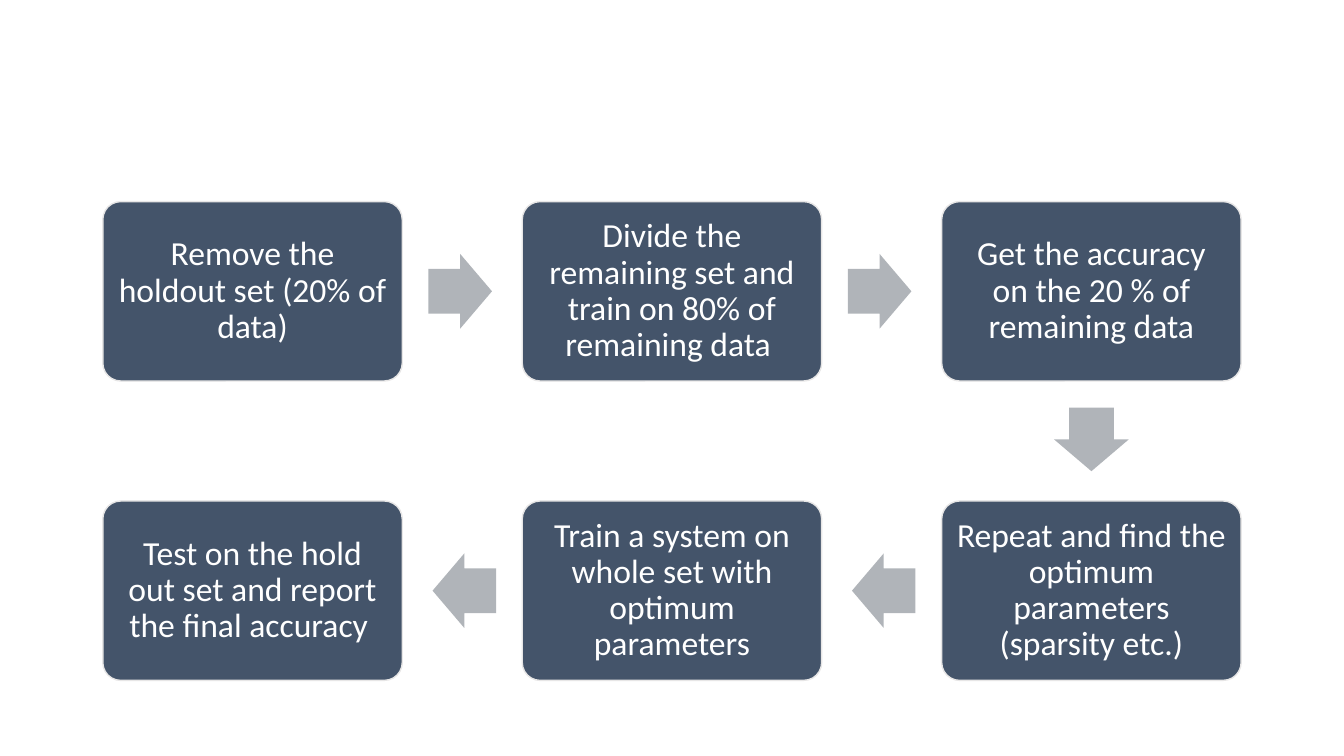
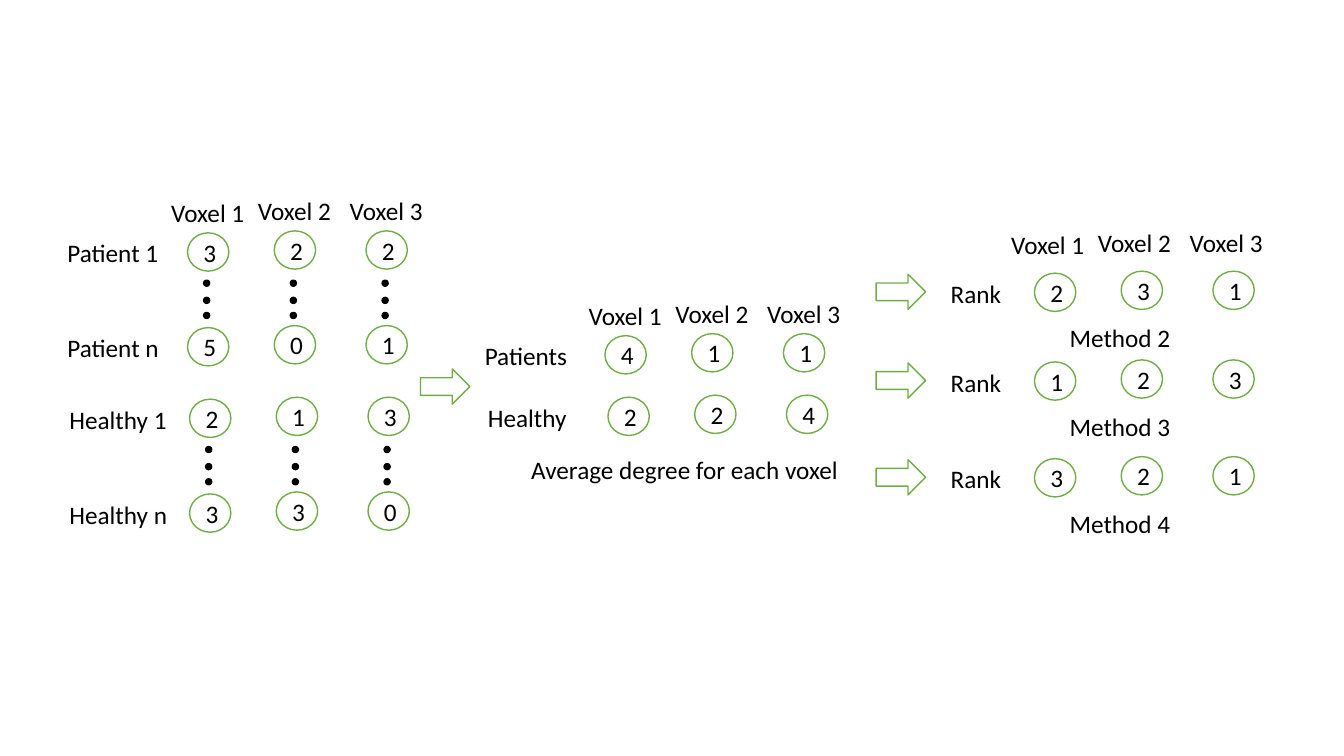
from pptx import Presentation
from pptx.dml.color import RGBColor
from pptx.enum.shapes import MSO_SHAPE
from pptx.enum.text import MSO_ANCHOR, PP_ALIGN
from pptx.util import Inches, Pt

COLORS = {
    "step": "44546A", "step_edge": "E7E6E6", "step_arrow": "B0B4B9",
    "green": "70AD47", "white": "FFFFFF", "black": "000000",
}
FONT = "Calibri"
COLUMN_OFFSETS = (0, 0.86, 1.77)
COLUMN_DROPS = (0.02, 0, 0)
NODE_SIZE = (0.41, 0.38)


def color(name):
    """Return the named palette colour."""
    return RGBColor.from_string(COLORS[name])


def add_figure(slide, kind, box, fill, edge=None):
    """Add a flat preset shape with a fill and an optional outline."""
    figure = slide.shapes.add_shape(kind, *map(Inches, box))
    figure.shadow.inherit = False
    figure.fill.solid()
    figure.fill.fore_color.rgb = color(fill)
    if edge:
        figure.line.color.rgb = color(edge)
        figure.line.width = Pt(1)
    else:
        figure.line.fill.background()
    return figure


def write(figure, words, size, ink, align):
    """Write one formatted paragraph into a shape."""
    frame = figure.text_frame
    frame.text = words
    paragraph = frame.paragraphs[0]
    paragraph.alignment = align
    font = paragraph.runs[0].font
    font.name, font.size = FONT, Pt(size)
    font.color.rgb = color(ink)
    return frame


def add_label(slide, words, left, top, width):
    """Add a one-line black label."""
    label = slide.shapes.add_textbox(*map(Inches, (left, top, width, 0.4)))
    write(label, words, 18, "black", PP_ALIGN.LEFT).word_wrap = False


def add_step(slide, words, box):
    """Add a rounded box describing one step of the procedure."""
    step = add_figure(slide, MSO_SHAPE.ROUNDED_RECTANGLE, box, "step", "step_edge")
    step.adjustments[0] = 0.1
    frame = write(step, words, 24, "white", PP_ALIGN.CENTER)
    frame.paragraphs[0].line_spacing = 0.9
    frame.word_wrap = True
    frame.vertical_anchor = MSO_ANCHOR.MIDDLE
    frame.margin_left = frame.margin_right = Inches(0.1)
    frame.margin_top = frame.margin_bottom = Inches(0.1)


def add_step_arrow(slide, center_x, center_y, rotation):
    """Add a grey arrow centred on a point and turned to the next step."""
    width, height = 0.63, 0.74
    box = (center_x - width / 2, center_y - height / 2, width, height)
    arrow = add_figure(slide, MSO_SHAPE.RIGHT_ARROW, box, "step_arrow")
    arrow.adjustments[0] = 0.6
    arrow.adjustments[1] = 0.5
    arrow.rotation = rotation


def add_procedure(slide, left, top):
    """Lay out the steps in a snake of two rows of three."""
    width, height, pitch_x, pitch_y = 2.97, 1.78, 4.16, 2.97
    steps = (
        ("Remove the holdout set (20% of data)", 0, 0, 0),
        ("Divide the remaining set and train on 80% of remaining data ", 1, 0, 0),
        ("Get the accuracy on the 20 % of remaining data", 2, 0, 90),
        ("Repeat and find the optimum parameters (sparsity etc.)", 2, 1, 180),
        ("Train a system on whole set with optimum parameters", 1, 1, 180),
        ("Test on the hold out set and report the final accuracy ", 0, 1, None),
    )
    reach = {0: (2.06, 0), 90: (0, 1.47), 180: (-2.06, 0)}
    for words, column, row, rotation in steps:
        x, y = left + column * pitch_x, top + row * pitch_y
        add_step(slide, words, (x, y, width, height))
        if rotation is not None:
            shift_x, shift_y = reach[rotation]
            add_step_arrow(slide, x + width / 2 + shift_x,
                           y + height / 2 + shift_y, rotation)


def add_voxel_headers(slide, left, top):
    """Add the three voxel column headings."""
    for number, (offset, drop) in enumerate(zip(COLUMN_OFFSETS, COLUMN_DROPS), 1):
        add_label(slide, f"Voxel {number}", left + offset, top + drop, 0.94)


def add_voxel_row(slide, name, values, left, top, name_gap, name_width):
    """Add a row name and its three circled values."""
    add_label(slide, name, left - name_gap, top + 0.02, name_width)
    for value, offset, drop in zip(values, COLUMN_OFFSETS, COLUMN_DROPS):
        box = (left + offset, top + drop, *NODE_SIZE)
        node = add_figure(slide, MSO_SHAPE.OVAL, box, "white", "green")
        frame = write(node, str(value), 18, "black", PP_ALIGN.CENTER)
        frame.vertical_anchor = MSO_ANCHOR.MIDDLE


def add_ellipsis(slide, left, top):
    """Add three vertical dots under each voxel column."""
    for offset in COLUMN_OFFSETS:
        for drop in (0, 0.17, 0.32):
            box = (left + offset, top + drop, 0.06, 0.06)
            add_figure(slide, MSO_SHAPE.OVAL, box, "black", "black")


def add_flow_arrow(slide, left, top):
    """Add an outlined arrow between two regions."""
    add_figure(slide, MSO_SHAPE.RIGHT_ARROW, (left, top, 0.49, 0.35), "white", "green")


def add_subjects(slide, left, top):
    """Lay out the degrees of the first and last subject of each group."""
    add_voxel_headers(slide, left - 0.26, top - 0.4)
    groups = (
        ("Patient", (3, 2, 2), (5, 0, 1), 0, 0, 1.12),
        ("Healthy", (2, 1, 3), (3, 3, 0), 0.02, 1.65, 1.18),
    )
    for group, first, last, shift, drop, name_width in groups:
        x, y = left + shift, top + drop
        add_voxel_row(slide, f"{group} 1", first, x, y, 1.29, name_width)
        add_ellipsis(slide, x + 0.16, y + 0.49)
        add_voxel_row(slide, f"{group} n", last, x, y + 0.94, 1.29, name_width)


def add_averages(slide, left, top):
    """Lay out the average degree of each group."""
    add_voxel_headers(slide, left - 0.26, top - 0.4)
    add_voxel_row(slide, "Patients", (4, 1, 1), left, top, 1.29, 1.03)
    add_voxel_row(slide, "Healthy", (2, 2, 4), left + 0.03, top + 0.61, 1.29, 0.99)
    add_label(slide, "Average degree for each voxel", left - 0.83, top + 1.15, 3.28)


def add_rankings(slide, left, top):
    """Lay out the voxel ranks that each method gives."""
    add_voxel_headers(slide, left - 0.33, top - 0.48)
    rankings = ((2, (2, 3, 1), 0), (3, (1, 2, 3), 0.88), (4, (3, 2, 1), 1.84))
    for method, ranks, drop in rankings:
        y = top + drop
        add_flow_arrow(slide, left - 1.57, y + 0.03)
        add_voxel_row(slide, "Rank", ranks, left, y, 0.93, 0.71)
        add_label(slide, f"Method {method}", left + 0.25, y + 0.46, 1.21)


def add_blank_slide(deck):
    """Add a slide on the blank layout."""
    return deck.slides.add_slide(deck.slide_layouts[6])


def build():
    """Build and save the deck."""
    deck = Presentation()
    deck.slide_width, deck.slide_height = Inches(13.33), Inches(7.5)
    add_procedure(add_blank_slide(deck), 1.02, 2)
    voxels = add_blank_slide(deck)
    add_subjects(voxels, 1.86, 2.29)
    add_flow_arrow(voxels, 4.17, 3.66)
    add_averages(voxels, 6, 3.31)
    add_rankings(voxels, 10.26, 2.69)
    deck.save("out.pptx")


build()
